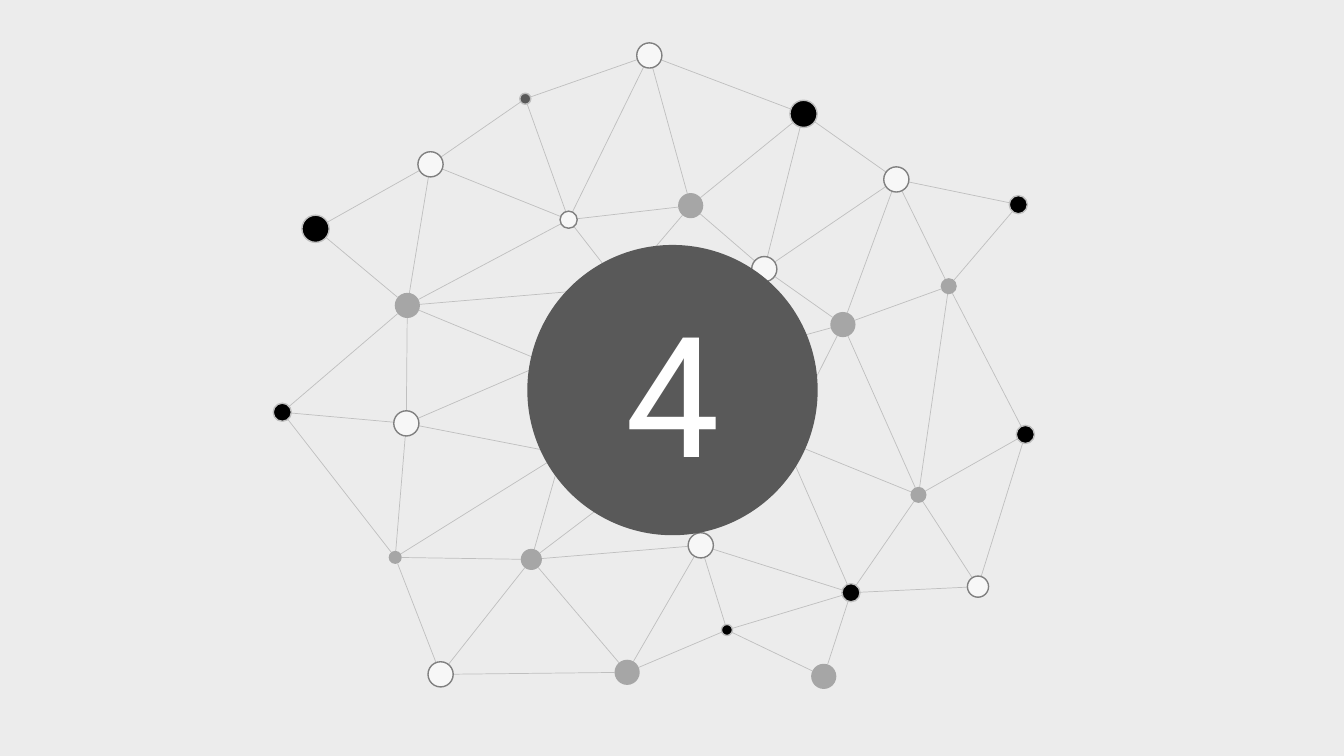
import math
import pptx
import pptx.util
import pptx.dml.color
import pptx.enum.shapes
import pptx.enum.text
import lxml.etree
from pptx.util import Inches

RGBColor = pptx.dml.color.RGBColor
BACKGROUND = RGBColor(0xEC, 0xEC, 0xEC)
BLACK = RGBColor(0x00, 0x00, 0x00)
WHITE = RGBColor(0xFF, 0xFF, 0xFF)
OFF_WHITE = RGBColor(0xF7, 0xF7, 0xF7)
DARK = RGBColor(0x59, 0x59, 0x59)
MID = RGBColor(0x80, 0x80, 0x80)
GREY = RGBColor(0xA6, 0xA6, 0xA6)
LIGHT = RGBColor(0xBF, 0xBF, 0xBF)

# Node groups: diameter, fill, outline, then the centre of each named node
GROUPS = [
    (0.27, BLACK, LIGHT, {"A": (3.13, 2.27), "B": (7.97, 1.13)}),
    (0.18, BLACK, LIGHT, {"C": (2.8, 4.09), "D": (10.1, 2.03),
                          "E": (10.17, 4.31), "F": (8.44, 5.88)}),
    (0.11, BLACK, LIGHT, {"G": (7.21, 6.25)}),
    (0.11, DARK, LIGHT, {"H": (5.21, 0.98)}),
    (0.25, OFF_WHITE, MID, {"I": (4.03, 4.2), "J": (4.27, 1.63),
                            "K": (6.44, 0.55), "L": (7.58, 2.67),
                            "M": (8.89, 1.78), "N": (6.95, 5.41),
                            "O": (4.37, 6.69)}),
    (0.17, OFF_WHITE, MID, {"P": (5.64, 2.18)}),
    (0.21, OFF_WHITE, MID, {"Q": (9.7, 5.82)}),
    (0.25, GREY, None, {"R": (4.04, 3.03), "S": (6.85, 2.04),
                        "T": (8.36, 3.22), "U": (6.22, 6.67),
                        "V": (8.17, 6.71)}),
    (0.16, GREY, None, {"W": (9.41, 2.84), "X": (9.11, 4.91)}),
    (0.21, GREY, None, {"Y": (5.27, 5.55)}),
    (0.13, GREY, None, {"Z": (3.92, 5.53)}),
]

# Points under the disc where links end
HUBS = {"a": (5.42, 3.6), "b": (5.57, 4.5), "c": (6.16, 2.85),
        "d": (7.78, 4.37), "e": (6.22, 4.83), "f": (6.8, 3.65)}

# Each pair of names is one link
LINKS = ("CZ ZI Ia Ib CI CR RI Ra AR AJ JR JP RP Rc "
         "JH KH HP Pc KP KS PS cS BK BS LS BL "
         "MB ML MT MW MD WD WT TL Td fT XT WX WE EX EQ QX dX dF XF QF "
         "ZY bZ Yb eY YN OZ OY OU UY UN UG GN GF NF GV VF")

prs = pptx.Presentation()
prs.slide_width = Inches(13.33)
prs.slide_height = Inches(7.5)
s = prs.slides.add_slide(prs.slide_layouts[6])
s.background.fill.solid()
s.background.fill.fore_color.rgb = BACKGROUND


def add_circle(x, y, size, fill, outline=None):
    sp = s.shapes.add_shape(pptx.enum.shapes.MSO_SHAPE.OVAL,
                            Inches(x - size / 2), Inches(y - size / 2),
                            Inches(size), Inches(size))
    sp.shadow.inherit = False
    sp.fill.solid()
    sp.fill.fore_color.rgb = fill
    if outline is None:
        sp.line.fill.background()
    else:
        sp.line.color.rgb = outline
        sp.line.width = pptx.util.Pt(1)
    return sp


# Network links, running from rim to rim
points = {name: (x, y, 0) for name, (x, y) in HUBS.items()}
for size, fill, outline, nodes in GROUPS:
    for name, (x, y) in nodes.items():
        points[name] = (x, y, size / 2)
for start, end in LINKS.split():
    x1, y1, r1 = points[start]
    x2, y2, r2 = points[end]
    length = math.hypot(x2 - x1, y2 - y1)
    dx, dy = (x2 - x1) / length, (y2 - y1) / length
    link = s.shapes.add_connector(
        pptx.enum.shapes.MSO_CONNECTOR.STRAIGHT,
        Inches(x1 + r1 * dx), Inches(y1 + r1 * dy),
        Inches(x2 - r2 * dx), Inches(y2 - r2 * dy))
    link.line.color.rgb = LIGHT
    link.line.width = pptx.util.Pt(0.5)
    lxml.etree.SubElement(link._element.spPr, pptx.oxml.ns.qn("a:effectLst"))

# Network nodes
for size, fill, outline, nodes in GROUPS:
    for x, y in nodes.values():
        add_circle(x, y, size, fill, outline)

# Section number disc
disc = add_circle(6.67, 3.87, 2.88, DARK)
tf = disc.text_frame
tf.vertical_anchor = pptx.enum.text.MSO_ANCHOR.MIDDLE
p = tf.paragraphs[0]
p.alignment = pptx.enum.text.PP_ALIGN.CENTER
r = p.add_run()
r.text = "4"
r.font.size = pptx.util.Pt(120)
r.font.name = "Roboto"
r.font.color.rgb = WHITE

prs.save("out.pptx")
